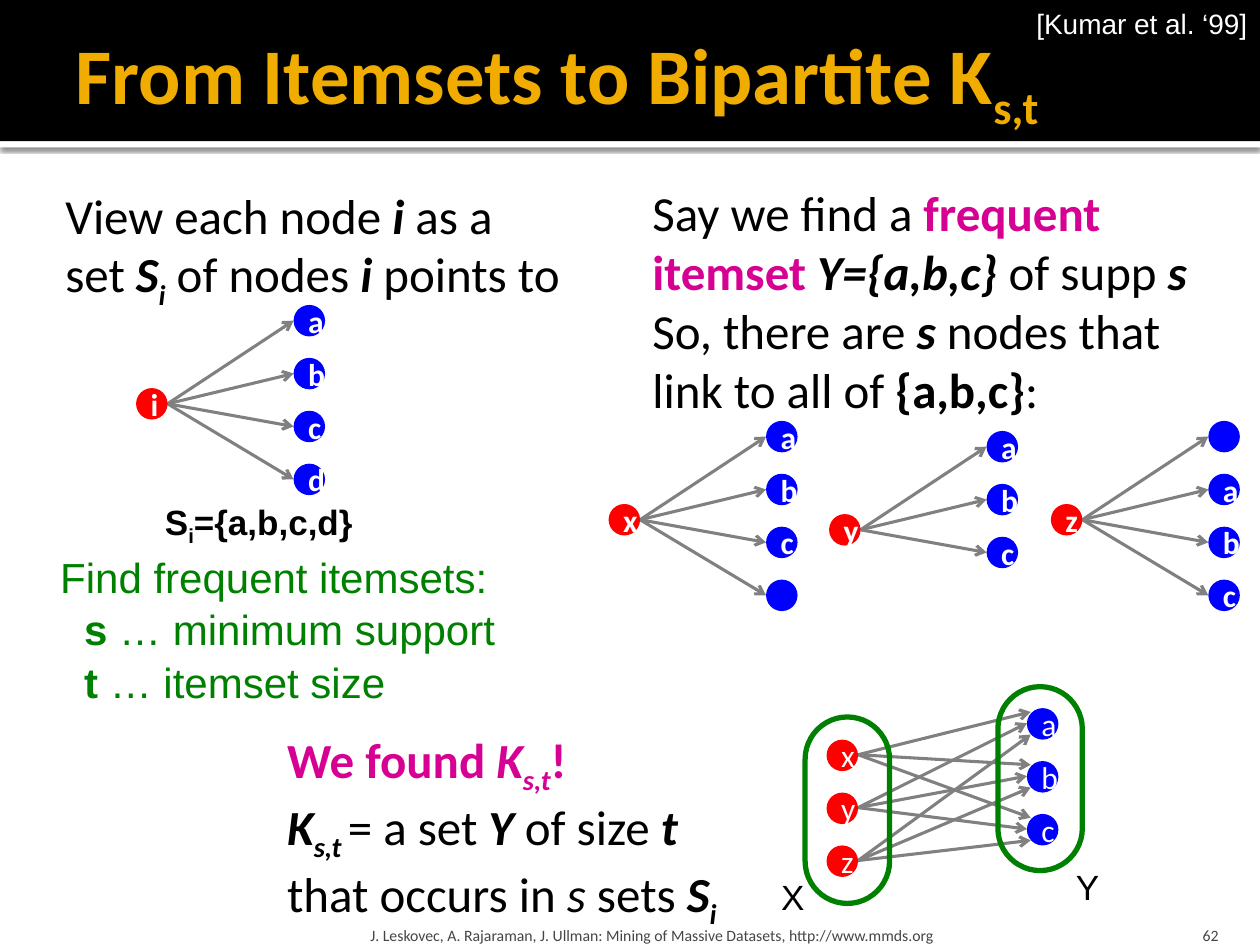
from lxml import etree
from pptx import Presentation
from pptx.dml.color import RGBColor
from pptx.enum import shapes as s, text as t
from pptx.oxml import ns, parse_xml
from pptx.util import Inches, Pt

COLORS = {
    "black": "000000", "white": "FFFFFF", "gold": "F0AD00", "red": "FF0000",
    "blue": "0000FF", "green": "008000", "pink": "D60093", "gray": "808080",
    "footer": "454545",
}


def rgb(name):
    return RGBColor.from_string(COLORS[name])


def write(frame, paragraphs, size=28, font="Calibri", color="black", align="LEFT",
          anchor="TOP", wrap=False, grow=True, insets=(0.1, 0.05, 0.1, 0.05),
          indent=0, space=0):
    """Each paragraph lists (text, style): b bold, i italic, _ subscript, p pink."""
    frame.word_wrap = wrap
    frame.auto_size = (t.MSO_AUTO_SIZE.SHAPE_TO_FIT_TEXT if grow
                       else t.MSO_AUTO_SIZE.NONE)
    frame.vertical_anchor = t.MSO_ANCHOR[anchor]
    (frame.margin_left, frame.margin_top,
     frame.margin_right, frame.margin_bottom) = map(Inches, insets)
    for number, runs in enumerate(paragraphs):
        paragraph = frame.add_paragraph() if number else frame.paragraphs[0]
        paragraph.alignment = t.PP_ALIGN[align]
        if number and indent:
            paragraph._p.get_or_add_pPr().set("marL", str(Inches(indent)))
        if number and space:
            paragraph.space_before = Pt(space)
        for content, style in runs:
            for row, piece in enumerate(content.split("\n")):
                if row:
                    paragraph.add_line_break()
                if not piece:
                    continue
                run = paragraph.add_run()
                run.text = piece
                run.font.name, run.font.size = font, Pt(size)
                run.font.bold, run.font.italic = "b" in style, "i" in style
                run.font.color.rgb = rgb("pink" if "p" in style else color)
                if "_" in style:
                    run.font._element.set("baseline", "-25000")


prs = Presentation()
prs.slide_width, prs.slide_height = Inches(10), Inches(7.5)
slide = prs.slides.add_slide(prs.slide_layouts[5])

# Header band over a white strip with a soft shadow
for order, (top, height, color) in enumerate([(1.12, 0.05, "white"), (0, 1.12, "black")]):
    band = slide.shapes.add_shape(s.MSO_SHAPE.RECTANGLE, 0, Inches(top),
                                  Inches(10), Inches(height))
    band.shadow.inherit = False
    band.fill.solid()
    band.fill.fore_color.rgb = rgb(color)
    band.line.fill.background()
    slide.shapes._spTree.insert(2 + order, band._element)
    if color == "white":
        band._element.spPr.find(ns.qn("a:effectLst")).append(parse_xml(
            f'<a:outerShdw {ns.nsdecls("a")} blurRad="{Pt(2.5)}" dist="{Pt(0.8)}" '
            'dir="5400000" algn="tl" rotWithShape="0"><a:srgbClr val="000000">'
            '<a:alpha val="60000"/></a:srgbClr></a:outerShdw>'))

# Title
title = slide.shapes.title
title.left, title.top, title.width, title.height = map(Inches, (0.5, 0.17, 9, 0.92))
write(title.text_frame, [[("From Itemsets to Bipartite K", "b"), ("s,t", "b_")]],
      size=45, color="gold", anchor="MIDDLE", wrap=True, grow=False,
      insets=(0.1, 0.05, 0.05, 0.05))

# Graphs: nodes are (label, color, left, top), arrows are (x1, y1, x2, y2)
NODE, STEP = 0.25, 0.42
graphs = []
for hub, left, top, labels in [("i", 1.08, 3.08, "abcd"), ("x", 4.83, 4, "abc "),
                               ("y", 6.58, 4.08, "abc"), ("z", 8.34, 4, " abc")]:
    nodes, arrows = [(hub, "red", left, top)], []
    for k, label in enumerate(labels):
        leaf_left, leaf_top = left + 1.25, top - 0.66 + k * STEP
        nodes.append((label.strip(), "blue", leaf_left, leaf_top))
        arrows.append((left + NODE, top + NODE / 2, leaf_left, leaf_top + NODE / 2))
    graphs.append((nodes, arrows, "b"))

# Complete bipartite graph: every X node points to every Y node
nodes, arrows = [], []
for k in range(3):
    nodes += [("xyz"[k], "red", 6.56, 5.87 + k * STEP),
              ("abc"[k], "blue", 8.15, 5.62 + k * STEP)]
    for j in range(3):
        arrows.append((6.81, 5.99 + k * STEP, (8.18, 8.15, 8.18)[k],
                       5.65 + k * 0.09 + j * STEP))
graphs.append((nodes, arrows, ""))

for nodes, arrows, style in graphs:
    graph = slide.shapes.add_group_shape().shapes
    for ends in arrows:
        arrow = graph.add_connector(s.MSO_CONNECTOR.STRAIGHT, *map(Inches, ends))
        arrow.line.color.rgb = rgb("gray")
        arrow.line.width = Pt(1.75)
        etree.SubElement(arrow.line._get_or_add_ln(), ns.qn("a:tailEnd"), type="arrow")
        etree.SubElement(arrow._element.spPr, ns.qn("a:effectLst"))
    for label, color, left, top in nodes:
        node = graph.add_shape(s.MSO_SHAPE.OVAL, Inches(left), Inches(top),
                               Inches(NODE), Inches(NODE))
        node.shadow.inherit = False
        node.fill.solid()
        node.fill.fore_color.rgb = rgb(color)
        node.line.fill.background()
        if label:
            write(node.text_frame, [[(label, style)]], size=18, color="white",
                  align="CENTER", anchor="MIDDLE", wrap=True, grow=False)

# Outlines around the two node sets
for left, top, height in [(6.39, 5.69, 1.48), (7.92, 5.45, 1.46)]:
    outline = slide.shapes.add_shape(s.MSO_SHAPE.ROUNDED_RECTANGLE, Inches(left),
                                     Inches(top), Inches(0.67), Inches(height))
    outline.adjustments[0] = 0.5
    outline.shadow.inherit = False
    outline.fill.background()
    outline.line.color.rgb = rgb("green")
    outline.line.width = Pt(3)

# Text boxes: position, paragraphs, format
arial = {"font": "Arial", "size": 20}
small = {"size": 9, "color": "footer", "anchor": "BOTTOM", "wrap": True, "grow": False}
texts = [
    ((8.1, 0, 1.9, 0.37), [[("[Kumar et al. ‘99]", "")]],
     {"font": "Arial", "size": 16, "color": "white", "align": "RIGHT"}),
    ((0.42, 1.42, 4.16, 1.04),
     [[("View each node ", ""), ("i", "bi"), (" as a \nset ", ""), ("S", "bi"),
       ("i", "bi_"), (" of nodes ", ""), ("i", "bi"), (" points to", "")]], {}),
    ((5.08, 1.4, 4.76, 1.99),
     [[("Say we find a ", ""), ("frequent itemset ", "bp"), ("Y={a,b,c}", "bi"),
       (" of supp ", ""), ("s\n", "bi"), ("So, there are ", ""), ("s", "bi"),
       (" nodes that link to all of ", ""), ("{a,b,c}", "b"), (":", "")]],
     {"wrap": True}),
    ((1.21, 3.92, 1.71, 0.44), [[("S", "b"), ("i", "b_"), ("={a,b,c,d}", "b")]], arial),
    ((0.38, 4.33, 3.66, 1.31),
     [[("Find frequent itemsets:", "")],
      [("s", "b"), (" … minimum support", "")],
      [("t", "b"), (" … itemset size", "")]],
     {"font": "Arial", "size": 24, "color": "green", "indent": 0.19, "space": 1}),
    ((2.18, 5.74, 3.65, 1.51),
     [[("We found ", "bp"), ("K", "bip"), ("s,t", "bip_"), ("!", "bp")],
      [("K", "bi"), ("s,t ", "bi_"), ("= a set ", ""), ("Y ", "bi"), ("of size ", ""),
       ("t \n", "bi"), ("that occurs in ", ""), ("s", "i"), (" sets ", ""),
       ("S", "bi"), ("i", "bi_")]], {}),
    ((6.1, 6.9, 0.39, 0.44), [[("X", "")]], arial),
    ((8.44, 6.82, 0.39, 0.44), [[("Y", "")]], arial),
    ((2.89, 7.2, 6.02, 0.3),
     [[("J. Leskovec, A. Rajaraman, J. Ullman: Mining of Massive Datasets, "
        "http://www.mmds.org", "")]],
     {**small, "insets": (0.05, 0.05, 0.05, 0)}),
    ((8.97, 7.2, 0.8, 0.3), [[("62", "")]],
     {**small, "align": "RIGHT", "insets": (0.1, 0.05, 0.1, 0)}),
]
for place, paragraphs, style in texts:
    write(slide.shapes.add_textbox(*map(Inches, place)).text_frame, paragraphs, **style)

prs.save("out.pptx")
